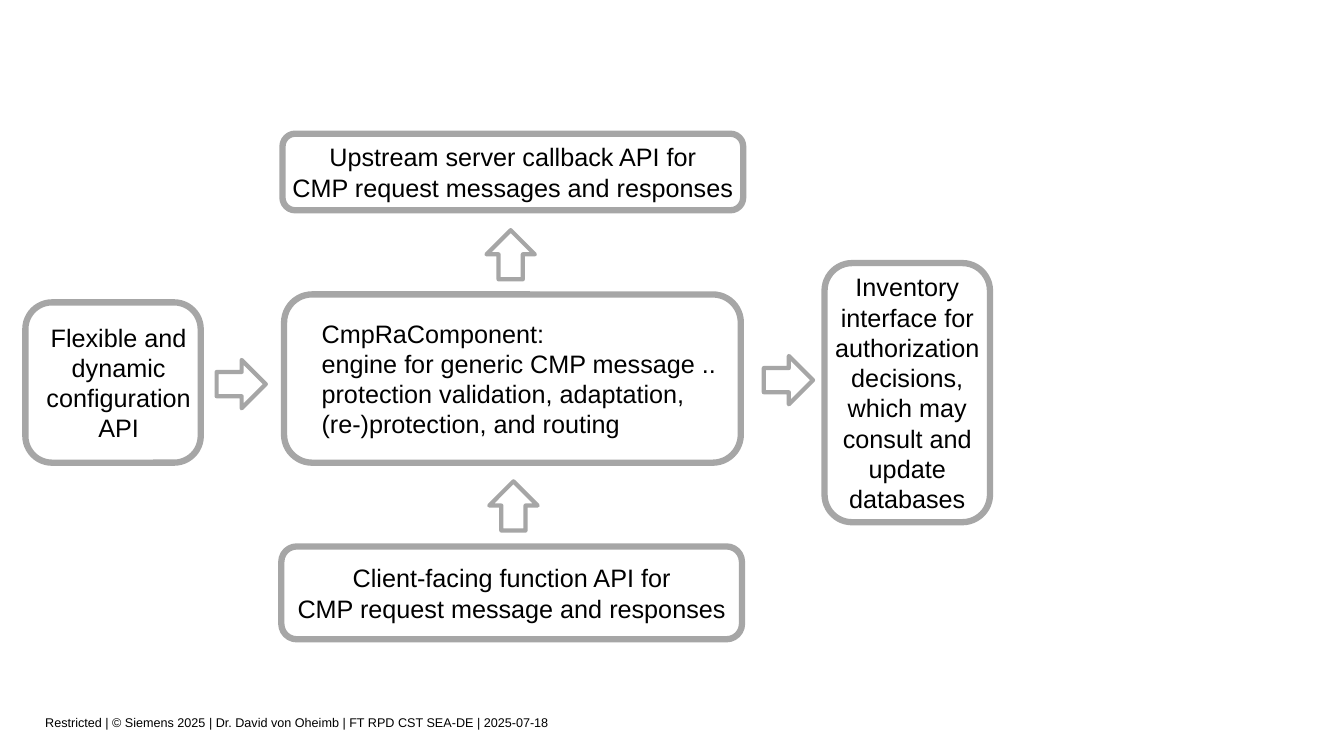
import pptx
import pptx.util
import pptx.dml.color
import pptx.enum.shapes
import pptx.enum.text

Cm = pptx.util.Cm
Pt = pptx.util.Pt
KIND = pptx.enum.shapes.MSO_SHAPE
ALIGN = pptx.enum.text.PP_ALIGN
HUES = {"line": "A6A6A6", "text": "000000"}

FOOTER = "Restricted | © Siemens 2025 | Dr. David von Oheimb | FT RPD CST SEA-DE | 2025-07-18"
BOXES = [
    ("Upstream server callback API for\vCMP request messages and responses",
     (7.12, 3.37, 11.61, 1.93), 0, ALIGN.CENTER),
    ("CmpRaComponent:\vengine for generic CMP message ..\n"
     "protection validation, adaptation,\v(re-)protection, and routing",
     (7.16, 7.42, 11.51, 4.24), 0.74, ALIGN.LEFT),
    ("Client-facing function API for\vCMP request message and responses",
     (7.09, 13.77, 11.61, 2.34), 0, ALIGN.CENTER),
    ("Flexible and dynamic configuration API",
     (0.64, 7.62, 4.42, 4.04), 0.28, ALIGN.CENTER),
    ("Inventory interface for authorization decisions, which may consult and update databases",
     (20.78, 6.63, 4.17, 6.53), 0, ALIGN.CENTER),
]
LONG, WIDE = 1.24, 1.22
ARROWS = [
    (KIND.RIGHT_ARROW, (5.46, 9.07, LONG, WIDE)),
    (KIND.RIGHT_ARROW, (19.25, 8.97, LONG, WIDE)),
    (KIND.UP_ARROW, (12.26, 5.8, WIDE, LONG)),
    (KIND.UP_ARROW, (12.33, 12.13, WIDE, LONG)),
]


def tint(name):
    return pptx.dml.color.RGBColor.from_string(HUES[name])


def write(shape, text, size, align, left=0, bottom=0):
    frame = shape.text_frame
    frame.text = text
    form = {
        "word_wrap": True,
        "vertical_anchor": pptx.enum.text.MSO_ANCHOR.MIDDLE,
        "margin_left": Cm(left),
        "margin_right": 0,
        "margin_top": 0,
        "margin_bottom": Cm(bottom),
    }
    for key, value in form.items():
        setattr(frame, key, value)
    for para in frame.paragraphs:
        para.alignment = align
        for run in para.runs:
            for key, value in {"name": "Arial", "size": Pt(size)}.items():
                setattr(run.font, key, value)
            run.font.color.rgb = tint("text")


def outline(slide, kind, place, width):
    shape = slide.shapes.add_shape(kind, *map(Cm, place))
    shape.shadow.inherit = False
    shape.fill.background()
    shape.line.color.rgb = tint("line")
    shape.line.width = Pt(width)
    return shape


def main():
    deck = pptx.Presentation()
    deck.slide_width, deck.slide_height = Cm(33.87), Cm(19.05)
    slide = deck.slides.add_slide(deck.slide_layouts[6])
    for text, place, left, align in BOXES:
        box = outline(slide, KIND.ROUNDED_RECTANGLE, place, 4.5)
        write(box, text, 18, align, left)
    for kind, place in ARROWS:
        outline(slide, kind, place, 3)
    foot = slide.shapes.add_textbox(Cm(1.14), Cm(17.53), Cm(25.81), Cm(1.52))
    write(foot, FOOTER, 9, ALIGN.LEFT, bottom=0.18)
    deck.save("out.pptx")


if __name__ == "__main__":
    main()
